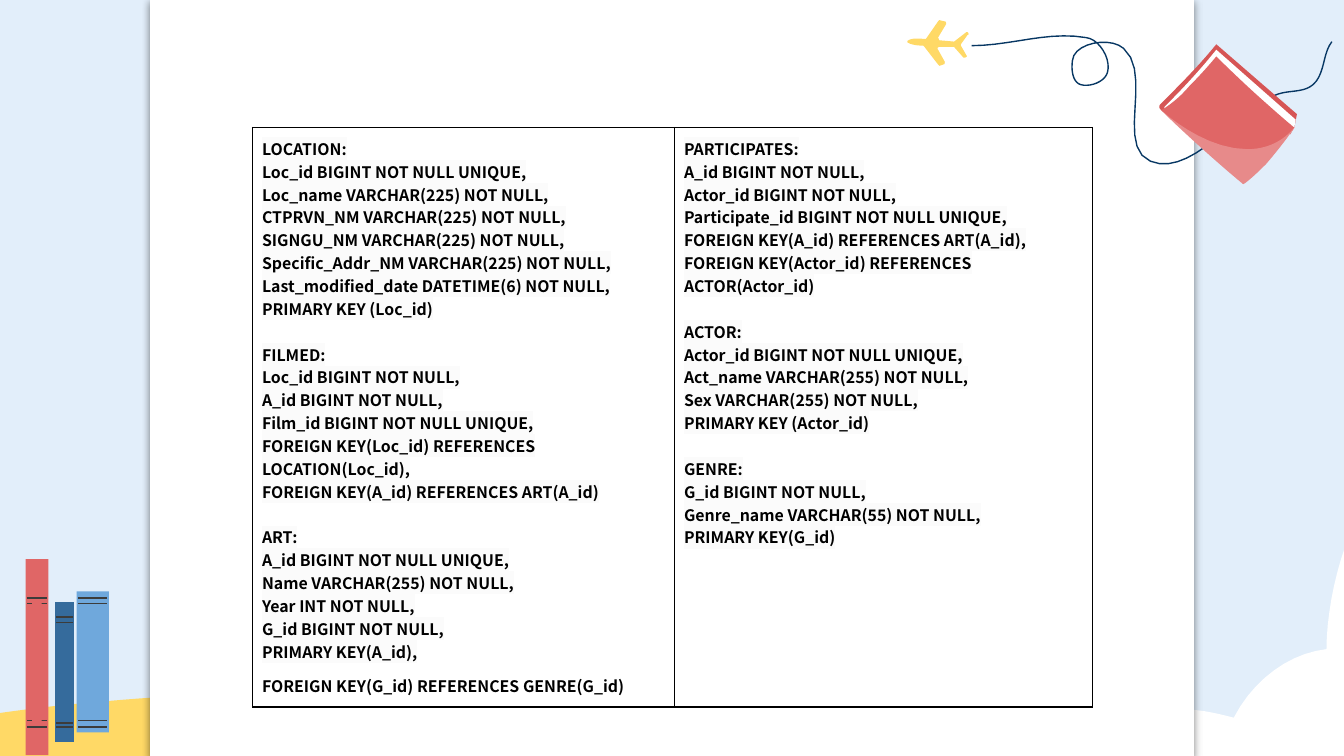
"""Build a slide listing film database table definitions beside a travel and books decoration."""
from lxml import etree
from pptx import Presentation
from pptx import util as u
from pptx.dml.color import RGBColor
from pptx.enum import shapes
from pptx.oxml import ns


class Theme:
    sky, sand, white, ink = "E2EEFA", "FFD966", "FFFFFF", "000000"
    trail, rule, mark = "073763", "3C3C3B", "FBFBFB"
    red, cover, blue, light = "E06666", "D65555", "356B9C", "6FA8DC"
    font, size, gap = "Noto Sans CJK KR", 8.5, 12.25


def paint(sp, fill=None, line=None, width=0.75):
    """Set the fill and the line of a shape, without shadow."""
    sp.shadow.inherit = False
    for part, color in ((sp.fill, fill), (sp.line.fill, line)):
        if color:
            part.solid()
            part.fore_color.rgb = RGBColor.from_string(color)
        else:
            part.background()
    if line:
        sp.line.width = u.Pt(width)
    return sp


def outline(path, fill=None, line=None):
    """Draw a path of M, L and C commands given in inches, with curves as short segments."""
    pts = []
    for part in path.replace("M", "|M").replace("L", "|L").replace("C", "|C").split("|")[1:]:
        nums = [float(n) for n in part[1:].split()]
        pairs = list(zip(nums[::2], nums[1::2]))
        if part[0] != "C":
            pts += pairs
            continue
        for i in range(0, len(pairs), 3):
            a, (b, c, d) = pts[-1], pairs[i:i + 3]
            for t in (k / 10 for k in range(1, 11)):
                s = 1 - t
                pts.append(tuple(s**3 * a[j] + 3 * s * s * t * b[j] + 3 * s * t * t * c[j] + t**3 * d[j]
                                 for j in (0, 1)))
    pts = [(u.Inches(x), u.Inches(y)) for x, y in pts]
    fb = slide.shapes.build_freeform(*pts[0])
    fb.add_line_segments(pts[1:], close=bool(fill))
    return paint(fb.convert_to_shape(), fill, line)


prs = Presentation()
prs.slide_width, prs.slide_height = u.Inches(10), u.Inches(10) * 9 // 16
slide = prs.slides.add_slide(prs.slide_layouts[6])
slide.background.fill.solid()
slide.background.fill.fore_color.rgb = RGBColor.from_string(Theme.sky)

outline("M -0.03 5.31 C 0.25 5.27 0.51 5.24 0.77 5.22 C 1.2 5.18 1.65 5.16 2.14 5.16"
        " C 2.7 5.17 3.3 5.19 3.93 5.24 C 4.8 5.29 5.7 5.39 6.6 5.44"
        " C 7.25 5.47 7.82 5.49 8.31 5.49 C 9.05 5.49 9.59 5.46 10 5.42 L 10 5.63 -0.03 5.63", Theme.sand)
outline("M 10.07 3.92 L 10.07 5.63 8.28 5.63 C 8.36 5.44 8.52 5.33 8.68 5.3"
        " C 8.73 5.29 8.77 5.28 8.82 5.28 C 8.94 5.28 9.06 5.31 9.18 5.34"
        " C 9.33 5.05 9.6 4.86 9.87 4.83 C 9.87 4.55 9.95 4.17 10.07 3.92", Theme.white)

page = slide.shapes.add_shape(shapes.MSO_SHAPE.RECTANGLE, u.Inches(1.12), 0, u.Inches(7.76), prs.slide_height)
paint(page, Theme.white, Theme.white)
effects = page._element.spPr.find(ns.qn("a:effectLst"))
shadow = etree.SubElement(effects, ns.qn("a:outerShdw"), blurRad=str(u.Pt(4.5)), dist=str(u.Pt(1.5)),
                          dir="5400000", algn="bl", rotWithShape="0")
color = etree.SubElement(shadow, ns.qn("a:srgbClr"), val=Theme.ink)
etree.SubElement(color, ns.qn("a:alpha"), val="50000")

outline("M 7.23 0.34 C 7.52 0.34 7.8 0.23 8.08 0.28 8.18 0.29 8.27 0.44 8.24 0.54"
        " 8.22 0.61 8.11 0.65 8.04 0.63 7.98 0.61 7.97 0.52 7.98 0.45"
        " 7.99 0.32 8.26 0.27 8.36 0.36 8.58 0.55 8.3 1.09 8.56 1.2"
        " 8.78 1.29 9.02 1.05 9.21 0.9 9.3 0.83 9.4 0.74 9.51 0.7"
        " 9.6 0.67 9.7 0.69 9.77 0.63 9.86 0.55 9.84 0.4 9.91 0.31", line=Theme.trail)

books = [(Theme.light, 0.57, 4.4, 0.24, 1.05, (4.45, 4.49, 5.36, 5.41)),
         (Theme.blue, 0.41, 4.48, 0.14, 1.04, (4.59, 4.63, 5.38, 5.41)),
         (Theme.red, 0.19, 4.16, 0.17, 1.46, (4.45, 4.49, 5.36, 5.41))]
for fill, x, y, w, h, rules in books:
    sp = slide.shapes.add_shape(shapes.MSO_SHAPE.RECTANGLE, *map(u.Inches, (x, y, w, h)))
    paint(sp, fill)
    for rule in rules:
        ends = map(u.Inches, (x + 0.01, rule, x + w - 0.01, rule))
        cx = slide.shapes.add_connector(shapes.MSO_CONNECTOR.STRAIGHT, *ends)
        cx.line.color.rgb = RGBColor.from_string(Theme.rule)
        cx.line.width = u.Pt(0.75)
        etree.SubElement(cx._element.spPr, ns.qn("a:effectLst"))
label = slide.shapes.add_shape(shapes.MSO_SHAPE.ROUNDED_RECTANGLE, *map(u.Inches, (0.24, 4.47, 0.07, 0.92)))
paint(label, Theme.red)

outline("M 9.05 0.33 C 8.92 0.49 8.78 0.63 8.63 0.78 8.62 0.8 8.63 0.81 8.64 0.82"
        " 8.65 0.83 8.66 0.84 8.68 0.84 8.7 0.84 8.72 0.82 8.73 0.81"
        " 8.84 0.7 8.95 0.58 9.04 0.45 L 9.02 0.49 9.6 1 9.63 0.95 9.65 0.85", Theme.cover)
outline("M 9.05 0.37 C 8.93 0.52 8.81 0.65 8.67 0.79 8.66 0.8 8.66 0.81 8.67 0.82"
        " 8.68 0.84 8.7 0.84 8.72 0.84 8.73 0.84 8.75 0.83 8.76 0.81"
        " 8.86 0.72 8.95 0.62 9.03 0.51 L 9.02 0.52 9.58 1.02 9.63 0.95 9.64 0.89", Theme.white)
back = " C 8.8 0.98 9.08 1.23 9.25 1.37 9.25 1.37 9.28 1.36 9.42 1.22 9.55 1.07 9.63 0.95 9.63 0.95"
outline("M 9.63 0.95 C 9.44 0.79 9.23 0.6 9.05 0.42 9.05 0.42 8.96 0.53 8.85 0.64"
        " 8.75 0.76 8.64 0.82 8.64 0.82" + back, Theme.red)
fold = outline("M 8.64 0.82" + back + " C 9.53 1.07 9.4 1.11 9.28 1.11 8.95 1.11 8.64 0.82 8.64 0.82",
               Theme.white)
fold_color = fold._element.spPr.find(ns.qn("a:solidFill"))[0]
etree.SubElement(fold_color, ns.qn("a:alpha"), val="24000")

outline("M 6.98 0.48 L 6.88 0.35 C 6.87 0.34 6.87 0.34 6.87 0.34 6.81 0.34 6.78 0.33 6.76 0.32"
        " 6.75 0.32 6.75 0.3 6.76 0.3 6.79 0.28 6.85 0.29 6.89 0.29 L 6.98 0.16 6.99 0.15 7.03 0.16"
        " C 7.04 0.16 7.04 0.17 7.04 0.18 L 6.98 0.28 6.99 0.3 7.1 0.31 7.19 0.24 7.2 0.24"
        " C 7.21 0.25 7.21 0.26 7.2 0.26 L 7.15 0.33 7.15 0.34 7.19 0.41"
        " C 7.2 0.42 7.19 0.43 7.17 0.43 L 7.1 0.35 6.99 0.35 C 6.98 0.35 6.97 0.36 6.98 0.37"
        " L 7.03 0.46 C 7.03 0.47 7.03 0.48 7.02 0.48 L 6.99 0.49", Theme.sand)

columns = [
    [["LOCATION:", "Loc_id BIGINT NOT NULL UNIQUE,", "Loc_name VARCHAR(225) NOT NULL,",
      "CTPRVN_NM VARCHAR(225) NOT NULL,", "SIGNGU_NM VARCHAR(225) NOT NULL,",
      "Specific_Addr_NM VARCHAR(225) NOT NULL,", "Last_modified_date DATETIME(6) NOT NULL,",
      "PRIMARY KEY (Loc_id)"],
     ["FILMED:", "Loc_id BIGINT NOT NULL,", "A_id BIGINT NOT NULL,", "Film_id BIGINT NOT NULL UNIQUE,",
      "FOREIGN KEY(Loc_id) REFERENCES LOCATION(Loc_id),", "FOREIGN KEY(A_id) REFERENCES ART(A_id)"],
     ["ART:", "A_id BIGINT NOT NULL UNIQUE,", "Name VARCHAR(255) NOT NULL,", "Year INT NOT NULL,",
      "G_id BIGINT NOT NULL,", "PRIMARY KEY(A_id),", "FOREIGN KEY(G_id) REFERENCES GENRE(G_id)"]],
    [["PARTICIPATES:", "A_id BIGINT NOT NULL,", "Actor_id BIGINT NOT NULL,",
      "Participate_id BIGINT NOT NULL UNIQUE,", "FOREIGN KEY(A_id) REFERENCES ART(A_id),",
      "FOREIGN KEY(Actor_id) REFERENCES ACTOR(Actor_id)"],
     ["ACTOR:", "Actor_id BIGINT NOT NULL UNIQUE,", "Act_name VARCHAR(255) NOT NULL,",
      "Sex VARCHAR(255) NOT NULL,", "PRIMARY KEY (Actor_id)"],
     ["GENRE:", "G_id BIGINT NOT NULL,", "Genre_name VARCHAR(55) NOT NULL,", "PRIMARY KEY(G_id)"]],
]
table = slide.shapes.add_table(1, 2, *map(u.Inches, (1.88, 0.95, 6.25, 4.31))).table
table.first_row = table.horz_banding = False
for col, width, groups in zip(range(2), (3.14, 3.11), columns):
    table.columns[col].width = u.Inches(width)
    cell = table.cell(0, col)
    cell.margin_left = cell.margin_right = cell.margin_top = cell.margin_bottom = u.Inches(0.07)
    cell.fill.background()
    for i, side in enumerate(("a:lnL", "a:lnR", "a:lnT", "a:lnB")):
        ln = etree.Element(ns.qn(side), w=str(u.Pt(1)))
        solid = etree.SubElement(ln, ns.qn("a:solidFill"))
        etree.SubElement(solid, ns.qn("a:srgbClr"), val=Theme.ink)
        cell._tc.tcPr.insert(i, ln)
    tf = cell.text_frame
    p = tf.paragraphs[0]
    for g, lines in enumerate(groups):
        for n, words in enumerate(lines):
            if g or n:
                p = tf.add_paragraph()
            if g and not n:
                p.space_before = u.Pt(Theme.gap)
            r = p.add_run()
            r.text = words
            r.font.size, r.font.bold, r.font.name = u.Pt(Theme.size), True, Theme.font
            r.font.color.rgb = RGBColor.from_string(Theme.ink)
            if words.endswith("GENRE(G_id)"):
                p.line_spacing = 1.5
                continue
            highlight = etree.Element(ns.qn("a:highlight"))
            etree.SubElement(highlight, ns.qn("a:srgbClr"), val=Theme.mark)
            r._r.rPr.find(ns.qn("a:solidFill")).addnext(highlight)

prs.save("out.pptx")
